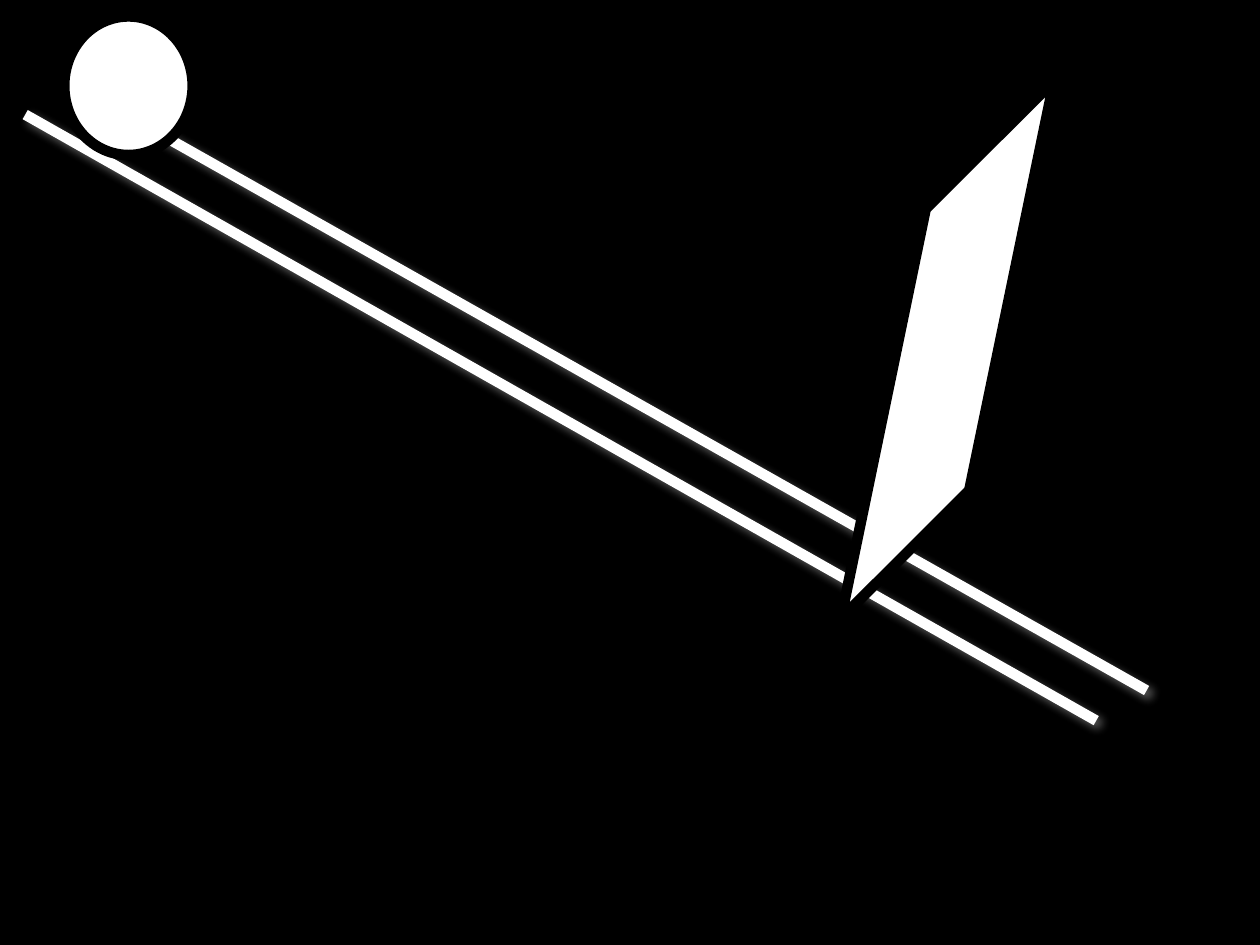
from lxml import etree
from pptx import Presentation
from pptx.dml.color import RGBColor
from pptx.enum import shapes
from pptx.oxml import ns
from pptx.util import Pt

WHITE = RGBColor(255, 255, 255)
BLACK = RGBColor(0, 0, 0)
SHADOW_GRAY = RGBColor(128, 128, 128)
STROKE = 6

RAILS = [
    ((14.4, 65.5), (626.4, 411.8)),
    ((42.5, 49), (655.2, 394.6)),
]
BALL = {"kind": shapes.MSO_SHAPE.OVAL, "box": (36.7, 9.4, 73.4, 79.2)}
BARRIER = {
    "kind": shapes.MSO_SHAPE.PARALLELOGRAM,
    "box": (378.7, 171.4, 325.4, 56.9),
    "rotation": 281.7,
    "slant": 1.519,
    "mirrored": True,
}


def style_line(line, color):
    line.color.rgb = color
    line.width = Pt(STROKE)


def add_shadow(connector, blur=5, distance=3, angle=45, opacity=75):
    effects = etree.SubElement(connector._element.spPr, ns.qn("a:effectLst"))
    shadow = etree.SubElement(
        effects, ns.qn("a:outerShdw"),
        blurRad=str(Pt(blur)), dist=str(Pt(distance)), dir=str(angle * 60000),
        algn="ctr", rotWithShape="0",
    )
    color = etree.SubElement(shadow, ns.qn("a:srgbClr"), val=str(SHADOW_GRAY))
    etree.SubElement(color, ns.qn("a:alpha"), val=str(opacity * 1000))


def add_rail(slide, start, end):
    rail = slide.shapes.add_connector(
        shapes.MSO_CONNECTOR.STRAIGHT, *map(Pt, start + end))
    style_line(rail.line, WHITE)
    add_shadow(rail)


def add_solid(slide, kind, box, rotation=0, slant=None, mirrored=False):
    shape = slide.shapes.add_shape(kind, *map(Pt, box))
    shape.shadow.inherit = False
    shape.fill.solid()
    shape.fill.fore_color.rgb = WHITE
    style_line(shape.line, BLACK)
    shape.rotation = rotation
    if slant is not None:
        shape.adjustments[0] = slant
    if mirrored:
        shape._element.spPr.xfrm.set("flipH", "1")


def main():
    presentation = Presentation()
    presentation.slide_width, presentation.slide_height = Pt(720), Pt(540)
    slide = presentation.slides.add_slide(presentation.slide_layouts[6])
    slide.background.fill.solid()
    slide.background.fill.fore_color.rgb = BLACK
    for start, end in RAILS:
        add_rail(slide, start, end)
    for solid in (BALL, BARRIER):
        add_solid(slide, **solid)
    presentation.save("out.pptx")


if __name__ == "__main__":
    main()
